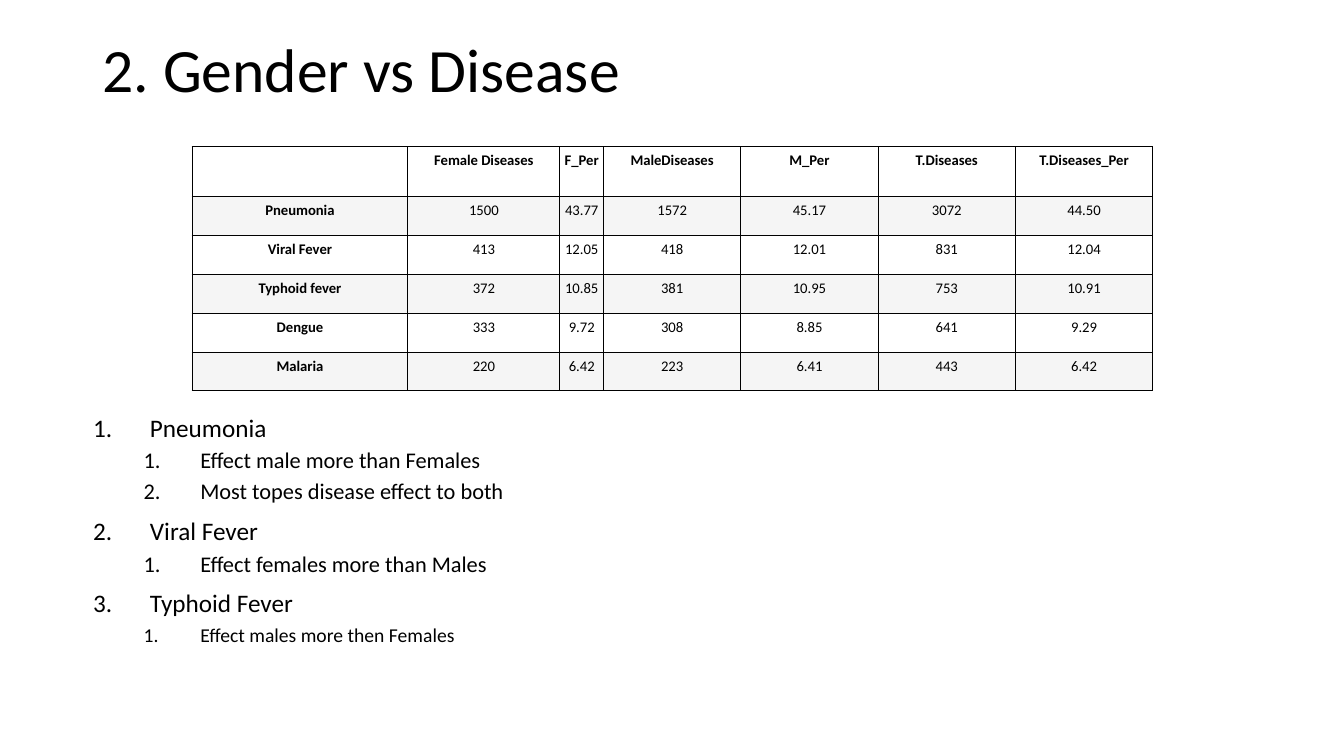
import pptx
import pptx.util
import pptx.dml.color
import pptx.enum.text
import pptx.oxml
import pptx.oxml.ns

Cm = pptx.util.Cm
Pt = pptx.util.Pt
ALIGN = pptx.enum.text.PP_ALIGN
ANCHOR = pptx.enum.text.MSO_ANCHOR
NS = pptx.oxml.ns.nsdecls("a")

HUES = {"ink": "000000", "plain": "FFFFFF", "band": "F5F5F5"}
WIDTHS = [5.44, 3.83, 1.1] + [3.46] * 4
HEIGHTS = [1.24] + [0.99] * 3 + [0.97] * 2
ROWS = [
    ["", "Female Diseases", "F_Per", "MaleDiseases", "M_Per", "T.Diseases", "T.Diseases_Per"],
    ["Pneumonia", "1500", "43.77", "1572", "45.17", "3072", "44.50"],
    ["Viral Fever", "413", "12.05", "418", "12.01", "831", "12.04"],
    ["Typhoid fever", "372", "10.85", "381", "10.95", "753", "10.91"],
    ["Dengue", "333", "9.72", "308", "8.85", "641", "9.29"],
    ["Malaria", "220", "6.42", "223", "6.41", "443", "6.42"],
]
NOTES = [
    (0, 18, "Pneumonia"),
    (1, 16, "Effect male more than Females"),
    (1, 16, "Most topes disease effect to both"),
    (0, 18, "Viral Fever"),
    (1, 16, "Effect females more than Males"),
    (0, 18, "Typhoid Fever"),
    (1, 14, "Effect males more then Females"),
]


def apply(item, **values):
    for name, value in values.items():
        setattr(item, name, value)


def style(para, size, bold=False):
    apply(para.font, name="Calibri", size=Pt(size), bold=bold)
    para.font.color.rgb = pptx.dml.color.RGBColor.from_string(HUES["ink"])


def add_title(slide, left, top, width, height):
    title = slide.shapes.title
    apply(title, left=Cm(left), top=Cm(top), width=Cm(width), height=Cm(height))
    title.text_frame.vertical_anchor = ANCHOR.MIDDLE
    title.text_frame.text = "2. Gender vs Disease"
    para = title.text_frame.paragraphs[0]
    apply(para, alignment=ALIGN.LEFT, line_spacing=0.9)
    style(para, 44)


def add_edges(cell):
    props = cell._tc.get_or_add_tcPr()
    for side in "LRTB":
        props.append(pptx.oxml.parse_xml(
            f'<a:ln{side} {NS} w="9525"><a:solidFill>'
            f'<a:srgbClr val="{HUES["ink"]}"/></a:solidFill></a:ln{side}>'))


def fill_cell(cell, text, hue, bold):
    add_edges(cell)
    cell.fill.solid()
    cell.fill.fore_color.rgb = pptx.dml.color.RGBColor.from_string(HUES[hue])
    apply(cell, text=text, margin_left=Cm(0.1), margin_right=Cm(0.1),
          margin_top=Cm(0.13), margin_bottom=Cm(0.13))
    para = cell.text_frame.paragraphs[0]
    para.alignment = ALIGN.CENTER
    style(para, 10.5, bold)


def add_grid(slide, left, top):
    table = slide.shapes.add_table(
        len(ROWS), len(WIDTHS), Cm(left), Cm(top),
        Cm(sum(WIDTHS)), Cm(sum(HEIGHTS))).table
    for col, width in zip(table.columns, WIDTHS):
        col.width = Cm(width)
    for r, (line, height) in enumerate(zip(ROWS, HEIGHTS)):
        table.rows[r].height = Cm(height)
        for c, text in enumerate(line):
            hue = "band" if r % 2 else "plain"
            fill_cell(table.cell(r, c), text, hue, r == 0 or c == 0)


def add_number(para, level):
    props = para._p.get_or_add_pPr()
    props.set("marL", str(Cm(1.43 + 1.27 * level)))
    props.set("indent", str(-Cm(1.43)))
    for xml in (f'<a:buClr {NS}><a:srgbClr val="{HUES["ink"]}"/></a:buClr>',
                f'<a:buFont {NS} typeface="+mj-lt"/>',
                f'<a:buAutoNum {NS} type="arabicPeriod"/>'):
        props.append(pptx.oxml.parse_xml(xml))


def add_notes(slide, left, top, width, height):
    frame = slide.shapes.add_textbox(Cm(left), Cm(top), Cm(width), Cm(height)).text_frame
    frame.word_wrap = True
    for i, (level, size, text) in enumerate(NOTES):
        para = frame.add_paragraph() if i else frame.paragraphs[0]
        add_number(para, level)
        gap = (5 if level else 10) if i else 0
        apply(para, text=text, level=level, line_spacing=0.9, space_before=Pt(gap))
        style(para, size)


def main():
    deck = pptx.Presentation()
    apply(deck, slide_width=Cm(33.87), slide_height=Cm(19.05))
    slide = deck.slides.add_slide(deck.slide_layouts.get_by_name("Title Only"))
    add_title(slide, 2.33, 0, 29.21, 3.68)
    add_grid(slide, 4.84, 3.7)
    add_notes(slide, 2.1, 10.34, 24.69, 8.7)
    deck.save("out.pptx")


if __name__ == "__main__":
    main()
